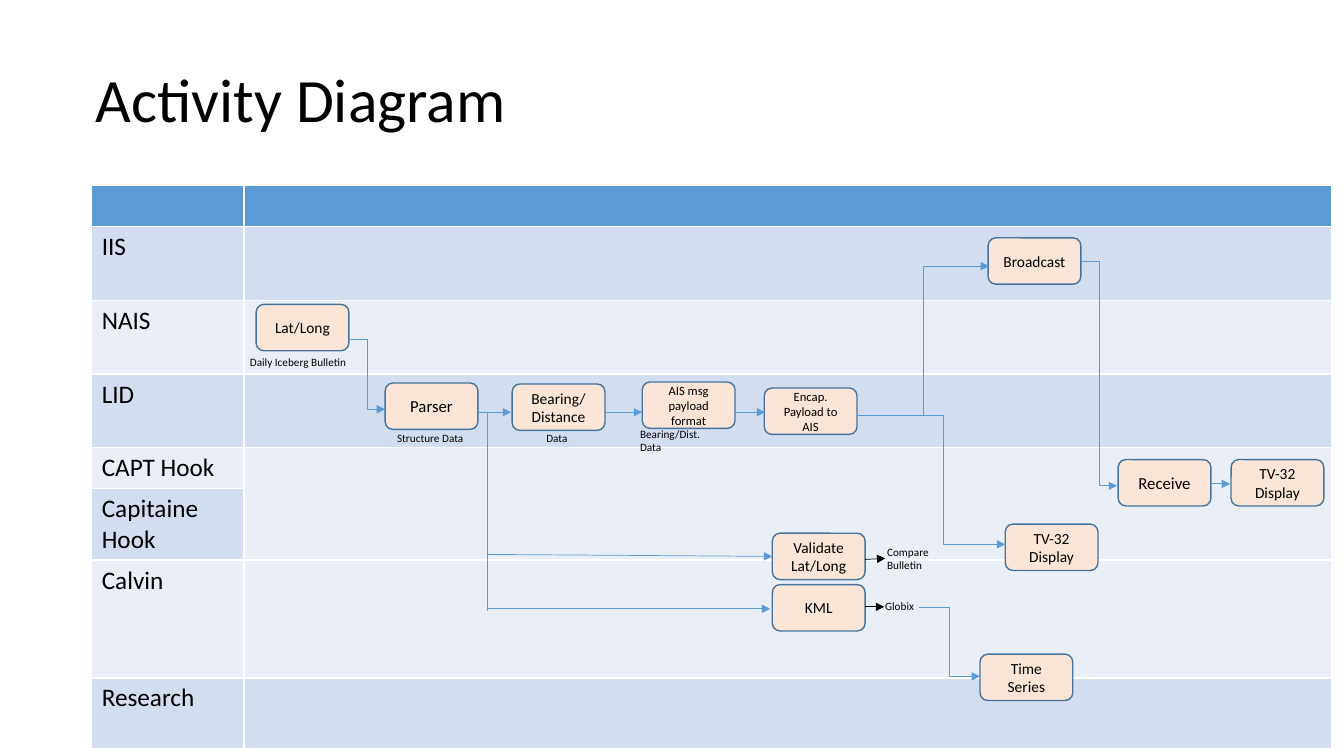
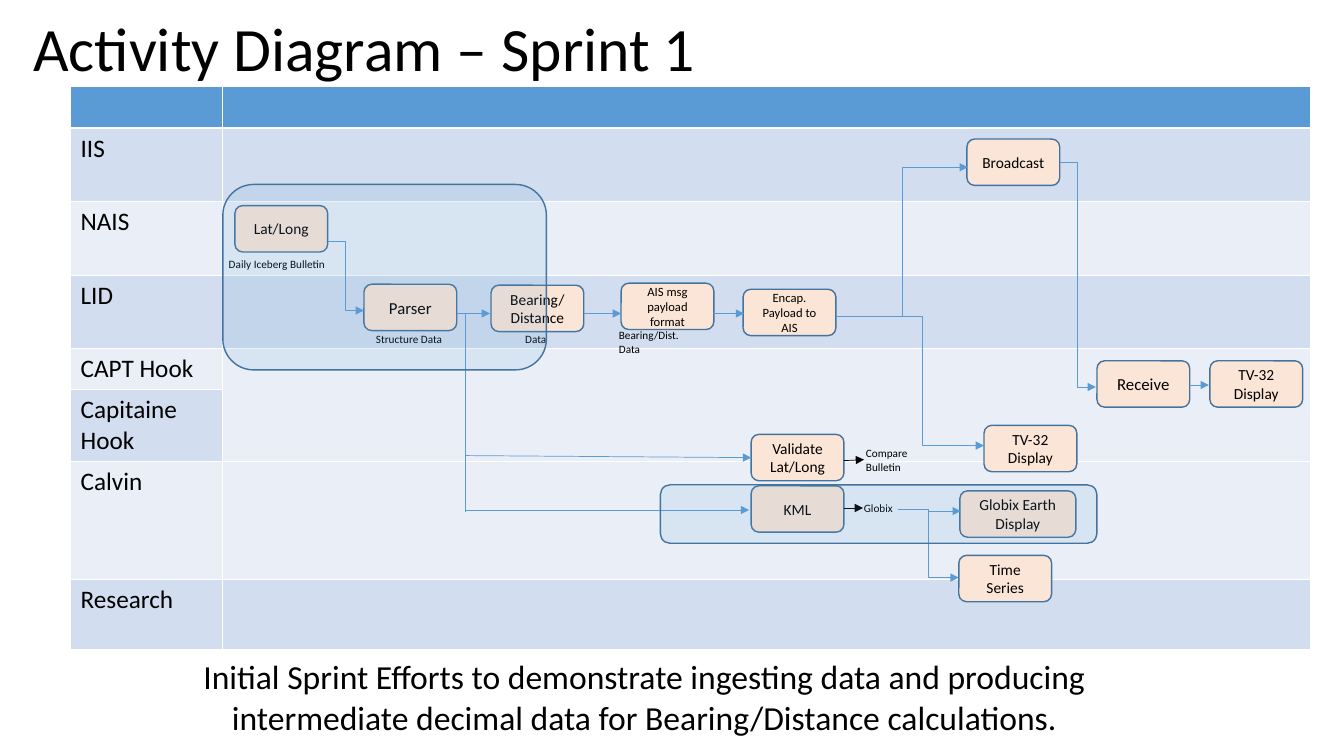
from pptx import Presentation
from pptx.util import Inches, Pt
from pptx.dml.color import RGBColor
from pptx.enum.shapes import MSO_CONNECTOR, MSO_SHAPE
from pptx.enum.text import MSO_ANCHOR, PP_ALIGN
from pptx.oxml.ns import qn
from lxml.etree import SubElement

BLUE, EDGE, PEACH, BLACK = "5B9BD5", "43739E", "FBE5D6", "000000"
DARK, LIGHT = "D2DEEF", "EAEFF7"
BENT, LINE = MSO_CONNECTOR.ELBOW, MSO_CONNECTOR.STRAIGHT
LEFT, MID = PP_ALIGN.LEFT, PP_ALIGN.CENTER


def tint(color):
    return RGBColor.from_string(color)


def write(frame, text, size, align=LEFT):
    frame.word_wrap = True
    frame.text = text
    for para in frame.paragraphs:
        para.alignment = align
        for run in para.runs:
            run.font.size = Pt(size)
            run.font.name = "Calibri"
            run.font.color.rgb = tint(BLACK)


# Swim lanes: name, height, fill
lanes = [
    ("", 0.41, BLUE), ("IIS", 0.73, DARK), ("NAIS", 0.73, LIGHT),
    ("LID", 0.73, DARK), ("CAPT Hook", 0.37, LIGHT),
    ("Capitaine Hook", 0.37, DARK), ("Calvin", 1.17, LIGHT),
    ("Research", 0.7, DARK),
]

# Steps: text, left, top, width, size
steps = [
    ("Lat/Long", 2.54, 3.02, 0.92, 11),
    ("Parser", 3.82, 3.8, 0.92, 12),
    ("KML", 7.66, 5.8, 0.92, 11),
    ("Validate\nLat/Long", 7.66, 5.29, 0.92, 11),
    ("Broadcast", 9.8, 2.36, 0.92, 11),
    ("Receive", 11.09, 4.56, 0.92, 12),
    ("Bearing/\nDistance", 5.08, 3.81, 0.92, 11),
    ("Encap. Payload to AIS", 7.58, 3.85, 0.92, 9),
    ("AIS msg payload format", 6.37, 3.79, 0.92, 9),
    ("TV-32 Display", 12.21, 4.56, 0.92, 11),
    ("TV-32 Display", 9.97, 5.2, 0.92, 11),
    ("Time Series", 9.72, 6.49, 0.92, 11),
]

# Links: kind, start x, start y, end x, end y, colour, arrowhead
links = [
    (BENT, 3.46, 3.37, 3.82, 4.06, BLUE, True),
    (BENT, 8.5, 4.12, 9.81, 2.64, BLUE, True),
    (BENT, 8.74, 4.12, 9.97, 5.4, BLUE, True),
    (LINE, 4.74, 4.09, 5.07, 4.09, BLUE, True),
    (LINE, 6, 4.09, 6.37, 4.09, BLUE, True),
    (LINE, 7.28, 4.09, 7.59, 4.09, BLUE, True),
    (BENT, 10.72, 2.59, 11.08, 4.82, BLUE, True),
    (LINE, 12.01, 4.8, 12.2, 4.8, BLUE, True),
    (BENT, 9.12, 6.03, 9.72, 6.71, BLUE, True),
    (LINE, 8.58, 6.02, 8.77, 6.02, BLACK, True),
    (LINE, 8.58, 5.55, 8.78, 5.54, BLACK, True),
    (LINE, 4.83, 4.1, 4.83, 6.06, BLUE, False),
    (LINE, 4.83, 6.04, 7.64, 6.04, BLUE, True),
    (LINE, 4.83, 5.5, 7.66, 5.52, BLUE, True),
]

# Data labels: text, left, top, width, height
labels = [
    ("Compare Bulletin", 8.7, 5.36, 0.65, 0.37),
    ("Globix", 8.68, 5.9, 0.65, 0.24),
    ("Daily Iceberg Bulletin", 2.38, 3.48, 1.21, 0.24),
    ("Structure Data", 3.84, 4.23, 0.9, 0.24),
    ("Data", 5.32, 4.23, 0.58, 0.24),
    ("Bearing/Dist. Data", 6.25, 4.19, 1, 0.23),
]

# Additions for the sprint, on the same grid as the steps
more = [("Globix Earth Display", 9.73, 5.85, 1.15, 11)]
joins = [(BENT, 9.42, 6.03, 9.74, 6.05, BLUE, True)]
zones = [(2.42, 2.81, 3.21, 1.84), (6.76, 5.79, 4.33, 0.58)]
note = ("Initial Sprint Efforts to demonstrate ingesting data and producing "
        "intermediate decimal data for Bearing/Distance calculations.")

# Slides: title, its left and top, diagram shift, steps, links, zones, note
pages = [
    ("Activity Diagram", 0.85, 0.57, 0, 0, steps, links, [], ""),
    ("Activity Diagram – Sprint 1", 0.23, 0.07, -0.21, -0.98,
     steps + more, links + joins, zones, note),
]

deck = Presentation()
deck.slide_width, deck.slide_height = Inches(13.33), Inches(7.5)

for name, left, top, dx, dy, boxes, lines, areas, foot in pages:
    slide = deck.slides.add_slide(deck.slide_layouts[5])
    shapes = slide.shapes

    # Title
    title = shapes.title
    title.left, title.top = Inches(left), Inches(top)
    title.width, title.height = Inches(11.5), Inches(0.89)
    write(title.text_frame, name, 44)
    title.text_frame.vertical_anchor = MSO_ANCHOR.MIDDLE
    title.text_frame.paragraphs[0].line_spacing = 0.9

    # Lane table
    table = shapes.add_table(len(lanes), 2, Inches(0.91 + dx), Inches(1.84 + dy),
                             Inches(12.3), Inches(5.21)).table
    table.columns[0].width = Inches(1.51)
    table.columns[1].width = Inches(10.79)
    for row, (lane, high, fill) in enumerate(lanes):
        table.rows[row].height = Inches(high)
        for cell in table.rows[row].cells:
            cell.fill.solid()
            cell.fill.fore_color.rgb = tint(fill)
        if lane:
            write(table.cell(row, 0).text_frame, lane, 18)
    table.cell(4, 1).merge(table.cell(5, 1))

    # Step boxes
    for text, x, y, wide, size in boxes:
        box = shapes.add_shape(MSO_SHAPE.ROUNDED_RECTANGLE, Inches(x + dx),
                               Inches(y + dy), Inches(wide), Inches(0.46))
        box.shadow.inherit = False
        box.fill.solid()
        box.fill.fore_color.rgb = tint(PEACH)
        box.line.color.rgb = tint(EDGE)
        box.line.width = Pt(1)
        write(box.text_frame, text, size, MID)

    # Links
    for kind, x, y, endx, endy, color, head in lines:
        link = shapes.add_connector(kind, Inches(x + dx), Inches(y + dy),
                                    Inches(endx + dx), Inches(endy + dy))
        link.line.color.rgb = tint(color)
        link.line.width = Pt(0.5)
        props = link._element.spPr
        if head:
            SubElement(props.find(qn("a:ln")), qn("a:tailEnd"), type="triangle")
        SubElement(props, qn("a:effectLst"))
        if (kind, x, y, endx, endy, color, head) in joins:
            # Bend at the very start
            bend = props.find(qn("a:prstGeom")).find(qn("a:avLst"))
            SubElement(bend, qn("a:gd"), name="adj1", fmla="val 0")

    # Data labels
    for text, x, y, wide, high in labels:
        label = shapes.add_textbox(Inches(x + dx), Inches(y + dy),
                                   Inches(wide), Inches(high))
        write(label.text_frame, text, 8)

    # Sprint zones
    for x, y, wide, high in areas:
        zone = shapes.add_shape(MSO_SHAPE.ROUNDED_RECTANGLE, Inches(x + dx),
                                Inches(y + dy), Inches(wide), Inches(high))
        zone.shadow.inherit = False
        zone.fill.solid()
        zone.fill.fore_color.rgb = tint(BLUE)
        shade = zone._element.spPr.find(qn("a:solidFill"))[0]
        SubElement(shade, qn("a:alpha"), val="13000")
        zone.line.color.rgb = tint(EDGE)
        zone.line.width = Pt(1)

    # Closing note
    if foot:
        label = shapes.add_textbox(Inches(1.53), Inches(6.46),
                                   Inches(9.72), Inches(0.91))
        write(label.text_frame, foot, 24, MID)

deck.save("out.pptx")
